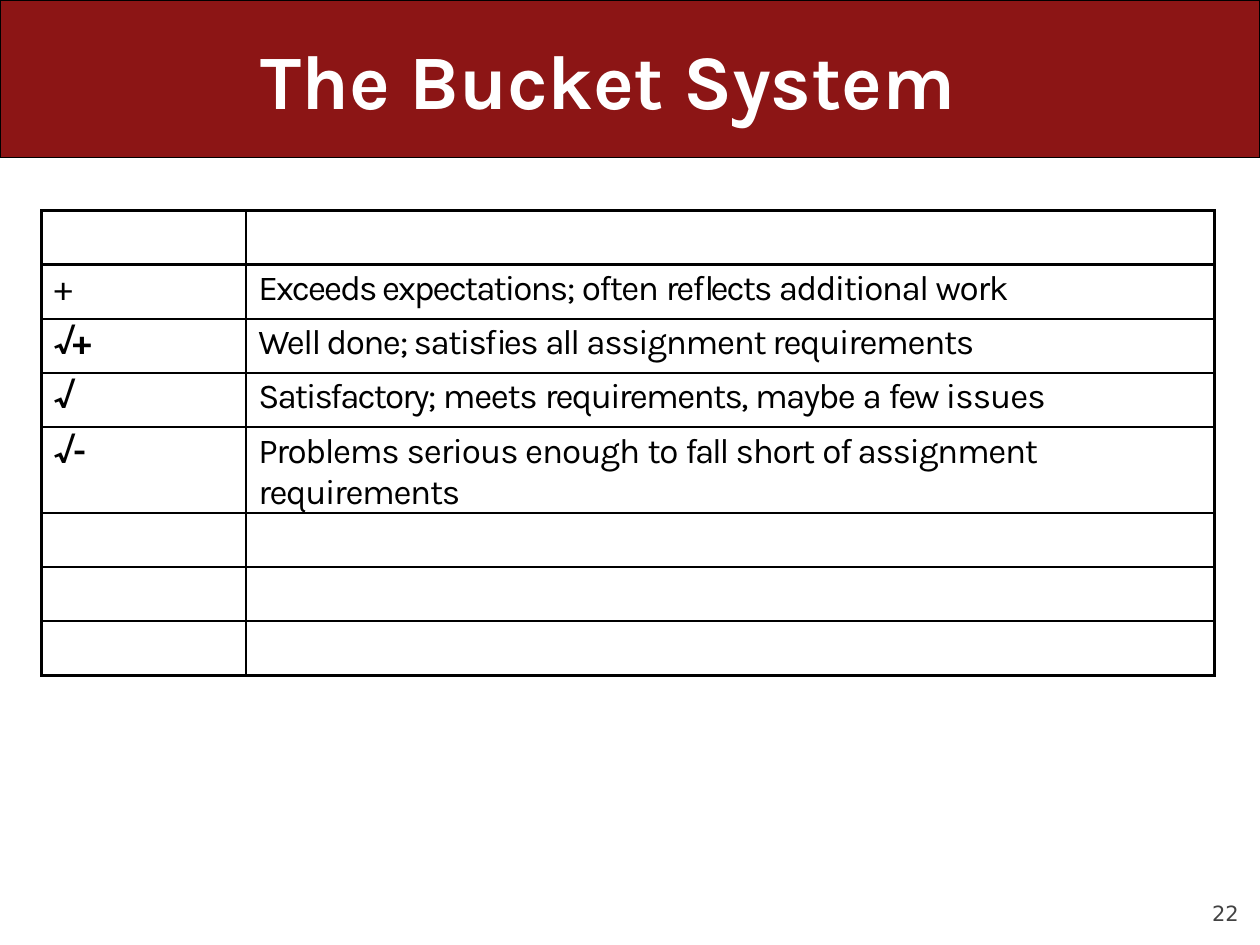
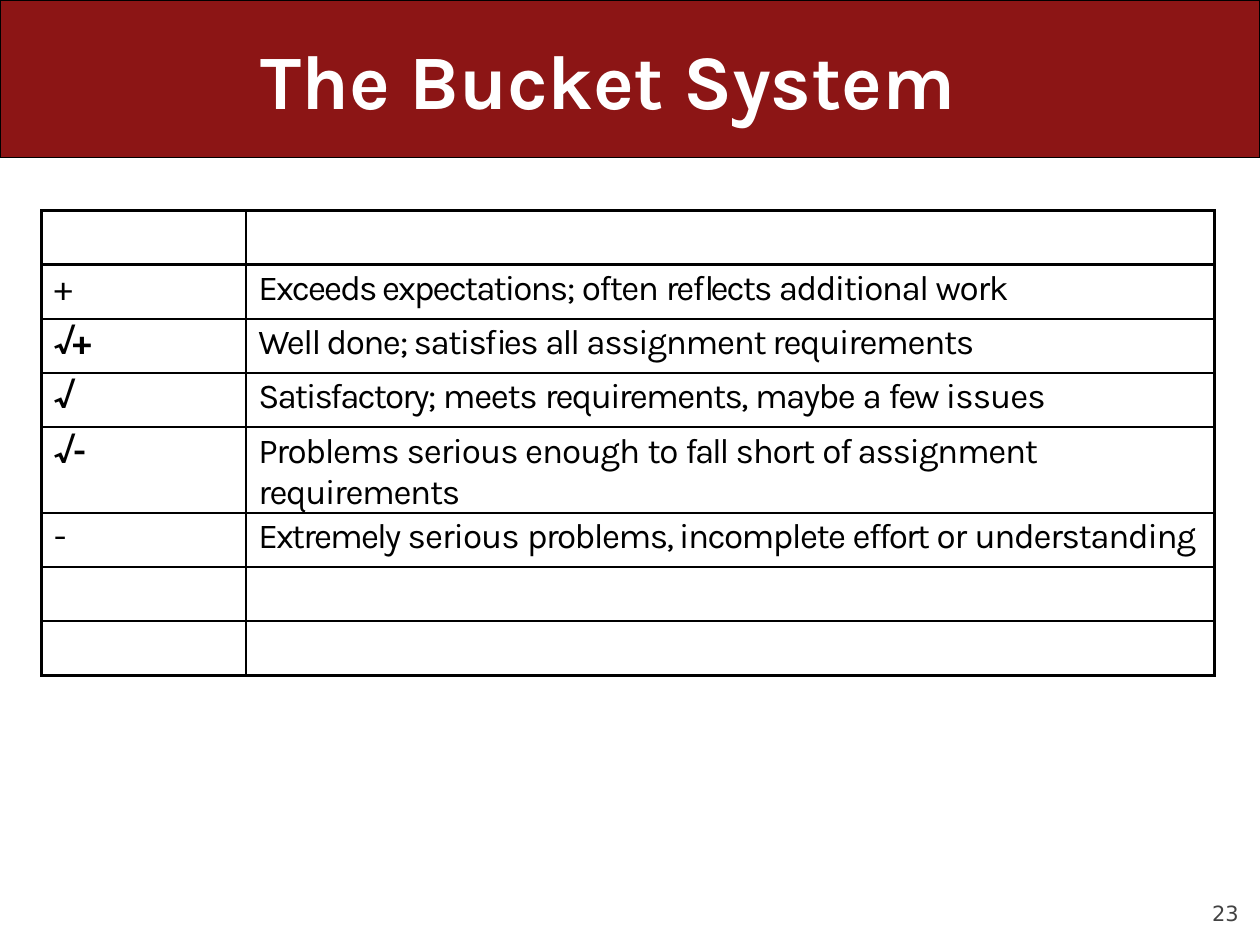
"""Build two slides that reveal the grading buckets step by step."""
from lxml import etree
from pptx import Presentation
from pptx.dml.color import RGBColor
from pptx.enum import shapes, text
from pptx.oxml import ns
from pptx.util import Inches, Pt

CARDINAL = RGBColor(0x8C, 0x15, 0x15)
WHITE = RGBColor(0xFF, 0xFF, 0xFF)
BLACK = RGBColor(0, 0, 0)
GREY = RGBColor(0x42, 0x42, 0x42)
BODY_FONT, NUMBER_FONT = "Karla", "DejaVu Sans"

TITLE = "The Bucket System"
FIRST_NUMBER = 22
ROW_COUNT = 8
COLUMN_WIDTHS = (1.62, 7.69)
ROW_HEIGHT = 0.43

# (mark, bold, mark spacing, [(words, letter spacing in points)])
BUCKETS = [
    ("+", False, 0, [("Exceeds expectations; ", -1.1), ("often ", -0.9), ("reflects ", -1.1),
                     ("additional ", -0.9), ("work", -0.8)]),
    ("√+", True, -1.8, [("Well done; satisfies ", -0.9), ("all ", -1.2),
                        ("assignment requirements", -0.8)]),
    ("√", True, 0, [("Satisfactory; ", -1.1), ("meets ", -0.8), ("requirements, ", -1),
                    ("maybe ", -0.9), ("a ", -1), ("few ", -1.2), ("issues", -0.6)]),
    ("√-", True, -1.5, [("Problems ", -0.8), ("serious enough ", -0.6), ("to ", -0.8),
                        ("fall ", -1.3), ("short ", -0.7),
                        ("of assignment requirements", -0.8)]),
    ("-", False, 0, [("Extremely ", -1.1), ("serious ", -0.6), ("problems, incomplete ", -0.9),
                     ("effort ", -1.1), ("or ", -0.6), ("understanding", -0.8)]),
]
SHOWN_BUCKETS = (4, 5)


def add_run(p, words, size, color, font=BODY_FONT, bold=False, spacing=0):
    r = p.add_run()
    r.text = words
    r.font.size, r.font.name, r.font.bold = Pt(size), font, bold
    r.font.color.rgb = color
    if spacing:
        r._r.get_or_add_rPr().set("spc", str(round(spacing * 100)))


def prepare_frame(sp, left, top, width, height, indent):
    sp.left, sp.top, sp.width, sp.height = map(Inches, (left, top, width, height))
    tf = sp.text_frame
    tf.margin_left, tf.margin_top = Inches(indent), Inches(0.02)
    tf.margin_right = tf.margin_bottom = 0
    tf.word_wrap = True
    tf.auto_size = text.MSO_AUTO_SIZE.NONE
    tf.vertical_anchor = text.MSO_ANCHOR.TOP
    p = tf.paragraphs[0]
    p.alignment = text.PP_ALIGN.LEFT
    return p


def add_frame(prs, number):
    s = prs.slides.add_slide(prs.slide_layouts[5])
    band = s.shapes.add_shape(shapes.MSO_SHAPE.RECTANGLE, 0, 0, prs.slide_width, Inches(1.25))
    band.shadow.inherit = False
    band.fill.solid()
    band.fill.fore_color.rgb = CARDINAL
    band.line.color.rgb = BLACK
    band.line.width = Pt(0.75)
    s.shapes._spTree.insert(2, band._element)

    p = prepare_frame(s.shapes.title, 2.06, 0.24, 5.88, 0.76, 0.01)
    add_run(p, TITLE, 44, WHITE, bold=True, spacing=-0.1)
    number_box = s.shapes.add_textbox(0, 0, 0, 0)
    p = prepare_frame(number_box, 9.59, 7.13, 0.27, 0.23, 0.03)
    add_run(p, str(number), 12, GREY, NUMBER_FONT)
    return s


def style_cell(cell):
    cell.fill.background()
    cell.margin_right = cell.margin_bottom = 0
    cell.margin_left, cell.margin_top = Inches(0.1), Inches(0.03)
    tcPr = cell._tc.get_or_add_tcPr()
    for i, side in enumerate("LRTB"):
        ln = etree.Element(ns.qn(f"a:ln{side}"), w=str(Pt(1.5)))
        fill = etree.SubElement(ln, ns.qn("a:solidFill"))
        etree.SubElement(fill, ns.qn("a:srgbClr"), val=str(BLACK))
        tcPr.insert(i, ln)


def add_buckets(s, buckets):
    frame = s.shapes.add_table(ROW_COUNT, len(COLUMN_WIDTHS), Inches(0.33), Inches(1.67),
                               Inches(sum(COLUMN_WIDTHS)), Inches(ROW_COUNT * ROW_HEIGHT))
    table = frame.table
    table.first_row = table.horz_banding = False
    for column, width in zip(table.columns, COLUMN_WIDTHS):
        column.width = Inches(width)
    for cell in table.iter_cells():
        style_cell(cell)
    for row, (mark, bold, spacing, pieces) in enumerate(buckets, 1):
        p = table.cell(row, 0).text_frame.paragraphs[0]
        add_run(p, mark, 20, BLACK, bold=bold, spacing=spacing)
        p = table.cell(row, 1).text_frame.paragraphs[0]
        for words, piece_spacing in pieces:
            add_run(p, words, 20, BLACK, spacing=piece_spacing)


def main():
    prs = Presentation()
    prs.slide_width, prs.slide_height = Inches(10), Inches(7.5)
    for number, shown in enumerate(SHOWN_BUCKETS, FIRST_NUMBER):
        add_buckets(add_frame(prs, number), BUCKETS[:shown])
    prs.save("out.pptx")


if __name__ == "__main__":
    main()
